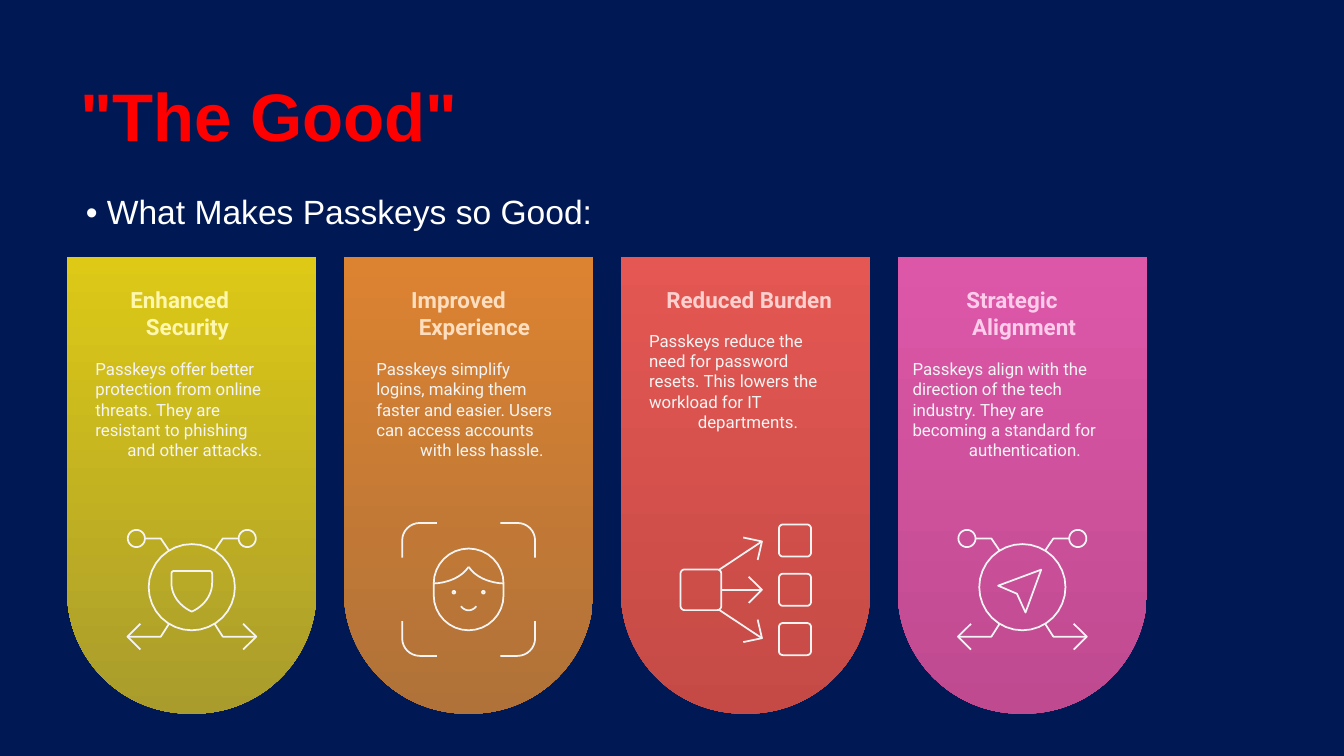
from collections import namedtuple
from math import cos, radians, sin

from pptx import Presentation
from pptx.dml.color import RGBColor
from pptx.enum.shapes import MSO_SHAPE as Preset
from pptx.enum.text import MSO_AUTO_SIZE as AutoSize, PP_ALIGN as Align
from pptx.util import Pt

CARD_LEFT, CARD_TOP, CARD_WIDTH, CARD_HEIGHT, CARD_PITCH = 36, 137.52, 133.56, 244.8, 148.32

Card = namedtuple("Card", "top_color bottom_color title_color title title_left title_width "
                          "body body_left body_top body_width icon icon_middle")


def color(value):
    return RGBColor.from_string(value)


def write(frame, text, size=9, font="Roboto", ink="F4F4F4", bold=False, align=None):
    para = frame.paragraphs[0]
    para.alignment = align
    span = para.add_run()
    span.text = text
    span.font.size = Pt(size)
    span.font.name = font
    span.font.bold = bold
    span.font.color.rgb = color(ink)


def arc(x, y, radius, start=0, end=360, steps=32):
    angles = [radians(start + (end - start) * step / steps) for step in range(steps + 1)]
    return [(x + radius * cos(angle), y + radius * sin(angle)) for angle in angles]


def bend(first, pull_first, pull_last, last, steps=12):
    points = []
    for step in range(steps + 1):
        t = step / steps
        weights = ((1 - t) ** 3, 3 * t * (1 - t) ** 2, 3 * t * t * (1 - t), t ** 3)
        controls = (first, pull_first, pull_last, last)
        points.append(tuple(sum(w * point[axis] for w, point in zip(weights, controls))
                            for axis in (0, 1)))
    return points


def rounded(x, y, half_width, half_height, radius):
    corners = ((1, 1), (-1, 1), (-1, -1), (1, -1))
    points = []
    for turn, (side, level) in enumerate(corners):
        points += arc(x + side * (half_width - radius), y + level * (half_height - radius),
                      radius, turn * 90, turn * 90 + 90, 8)
    return points + points[:1]


def flip(paths, across=1, down=1):
    return [[(x * across, y * down) for x, y in path] for path in paths]


def hub(symbol):
    arm = [
        arc(29.7, -26.1, 4.6),
        [(25.1, -26.1), (16.6, -26.1), (12.2, -19.6)],
        [(12.2, 19.6), (16.6, 26.5), (34.5, 26.5)],
        [(27.5, 33.4), (34.5, 26.5), (27.5, 19.6)],
    ]
    return [symbol, arc(0, 0, 23.1)] + arm + flip(arm, across=-1)


def shield():
    half = bend((0, 13.1), (6.5, 10.1), (10.9, 4.3), (10.9, -2.2))
    half += arc(9.5, -7.3, 1.4, 0, -90, 8)
    return half + flip([half], across=-1)[0][::-1]


def face_scan():
    corner = [(35.6, 17)] + arc(26.2, 26.2, 9.4, 0, 90, 8) + [(17, 35.6)]
    side = [arc(7.9, 1.5, 0.7), bend((18.7, -3.2), (18.7, -3.2), (6, -3.2), (0, -12.1))]
    frame = [path for across in (1, -1) for down in (1, -1)
             for path in flip([corner], across, down)]
    head = rounded(0, 0, 18.7, 21.9, 18.7)
    smile = bend((-4.1, 9), (-1.9, 11.9), (1.9, 11.9), (4.1, 9))
    return [head, smile] + side + flip(side, across=-1) + frame


def fan_out():
    slanted = [
        rounded(26.5, -26.4, 8.6, 8.6, 2.2),
        [(-14.2, -10.7), (8.4, -25.7)],
        [(-1.2, -28), (8.8, -25.9), (6.5, -16)],
    ]
    straight = [
        rounded(-23.9, 0, 10.9, 10.9, 2.2),
        rounded(26.5, 0, 8.6, 8.6, 2.2),
        [(-13, 0), (8.8, 0)],
        [(1.7, -7), (8.8, 0), (1.7, 7)],
    ]
    return straight + slanted + flip(slanted, down=-1)


class SlideBuilder:
    ink = "F4F4F4"
    stroke = 0.93

    def __init__(self, page, background):
        self.page = page
        page.background.fill.solid()
        page.background.fill.fore_color.rgb = color(background)

    def text(self, left, top, width, height, text, inset=True, grow=False, **style):
        box = self.page.shapes.add_textbox(Pt(left), Pt(top), Pt(width), Pt(height))
        frame = box.text_frame
        frame.word_wrap = False
        if grow:
            frame.auto_size = AutoSize.SHAPE_TO_FIT_TEXT
        if not inset:
            frame.margin_left = frame.margin_top = frame.margin_right = frame.margin_bottom = 0
        write(frame, text, **style)

    def panel(self, left, top_color, bottom_color):
        panel = self.page.shapes.add_shape(Preset.ROUND_2_SAME_RECTANGLE, Pt(left), Pt(CARD_TOP),
                                           Pt(CARD_WIDTH), Pt(CARD_HEIGHT))
        panel.adjustments[0] = 0
        panel.adjustments[1] = 0.49
        panel.shadow.inherit = False
        panel.line.fill.background()
        panel.fill.gradient()
        panel.fill.gradient_angle = 270
        for stop, shade in zip(panel.fill.gradient_stops, (top_color, bottom_color)):
            stop.color.rgb = color(shade)

    def icon(self, center, middle, paths):
        placed = [[(Pt(center + x), Pt(middle + y)) for x, y in path] for path in paths]
        builder = self.page.shapes.build_freeform(*placed[0][0])
        for index, path in enumerate(placed):
            if index:
                builder.move_to(*path[0])
            builder.add_line_segments(path[1:], close=False)
        drawing = builder.convert_to_shape()
        drawing.shadow.inherit = False
        drawing.fill.background()
        drawing.line.color.rgb = color(self.ink)
        drawing.line.width = Pt(self.stroke)


PLANE = [(-2.9, 3.5), (1.7, 13.6), (10.1, -9.4), (-13, -0.8), (-2.9, 3.5)]

CARDS = [
    Card("DDC916", "A99C2C", "FFF7AD", "Enhanced\nSecurity", 69.84, 61.2,
         "Passkeys offer better\nprotection from online\nthreats. They are\n"
         "resistant to phishing\nand other attacks.", 51.12, 192.24, 106.56, hub(shield()), 314.6),
    Card("DC8331", "B07239", "FFDEBF", "Improved\nExperience", 220.32, 67.68,
         "Passkeys simplify\nlogins, making them\nfaster and easier. Users\n"
         "can access accounts\nwith less hassle.", 201.6, 192.24, 113.04, face_scan(), 315.8),
    Card("E45752", "C54A46", "FFD0CE", "Reduced Burden", 349.92, 102.96,
         "Passkeys reduce the\nneed for password\nresets. This lowers the\n"
         "workload for IT\ndepartments.", 347.76, 177.12, 105.84, fan_out(), 316),
    Card("DD57A8", "BF4A90", "FFCDEB", "Strategic\nAlignment", 517.68, 61.92,
         "Passkeys align with the\ndirection of the tech\nindustry. They are\n"
         "becoming a standard for\nauthentication.", 488.88, 192.24, 120.24, hub(PLANE), 314.6),
]


def main():
    deck = Presentation()
    deck.slide_width, deck.slide_height = Pt(720), Pt(405)
    slide = SlideBuilder(deck.slides.add_slide(deck.slide_layouts[6]), "001853")
    slide.text(36, 36, 218.88, 51.12, "\"The Good\"", grow=True,
               size=36, font="Arial", ink="FF0000", bold=True)
    slide.text(38.88, 98.64, 378.72, 34.56, "• What Makes Passkeys so Good:",
               size=18, font="Arial", ink="FFFFFF")
    lefts = [CARD_LEFT + index * CARD_PITCH for index in range(len(CARDS))]
    for left, card in zip(lefts, CARDS):
        slide.panel(left, card.top_color, card.bottom_color)
    for card in CARDS:
        slide.text(card.title_left, 153.36, card.title_width, 18 * len(card.title.split("\n")),
                   card.title, inset=False, grow=True,
                   size=12, ink=card.title_color, bold=True, align=Align.CENTER)
    for card in CARDS:
        slide.text(card.body_left, card.body_top, card.body_width, 64.8, card.body,
                   inset=False, grow=True, align=Align.CENTER)
    for left, card in zip(lefts, CARDS):
        slide.icon(left + CARD_WIDTH / 2, card.icon_middle, card.icon)
    deck.save("out.pptx")


if __name__ == "__main__":
    main()
